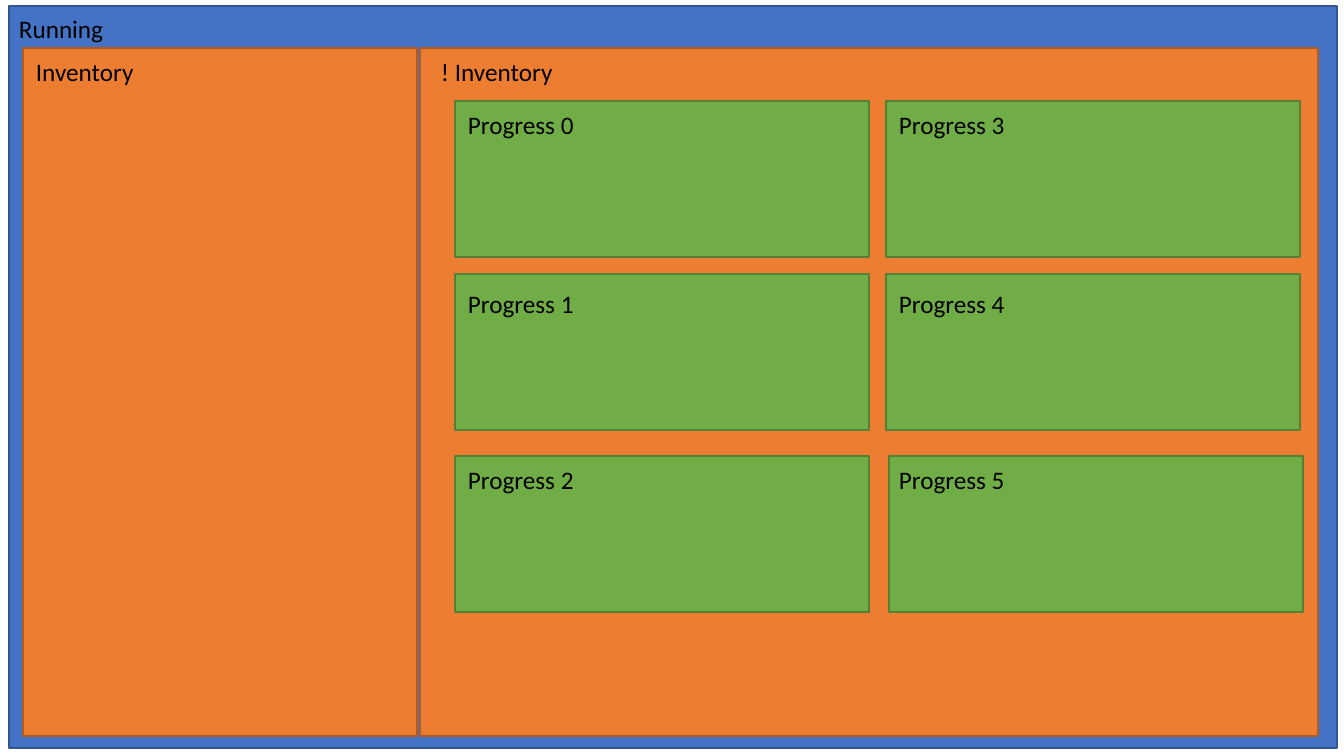
from pptx import Presentation
from pptx.dml.color import RGBColor
from pptx.enum.shapes import MSO_SHAPE
from pptx.enum.text import MSO_AUTO_SIZE
from pptx.util import Emu, Pt

COLORS = {
    "blue": ("4472C4", "325491"),
    "orange": ("ED7D31", "AF5C24"),
    "green": ("70AD47", "538035"),
    "text": "000000",
}
FONT = {"name": "Calibri", "size": Pt(18)}
FRAME = {"word_wrap": True, "auto_size": MSO_AUTO_SIZE.SHAPE_TO_FIT_TEXT}

# name, color, box (left, top, width, height), label (left, top, width)
PANELS = [
    ("Running", "blue", (9, 6, 1328, 742), (9, 8, 120)),
    ("Inventory", "orange", (23, 48, 394, 688), (26, 51, 120)),
    ("! Inventory", "orange", (420, 48, 898, 688), (431, 51, 136)),
]
STEPS = [f"Progress {n}" for n in range(6)]
COLS = (455, 886)
ROWS = ((101, 104), (274, 283), (456, 459))  # box top, label top
STEP_W, STEP_H = 414, 156
INSET = 3
NUDGE = {"Progress 5": 3}
LABEL_W, LABEL_H = 136, 40
SCALE = 914400 / 100.8


def emu(*vals):
    """Turn pixels into EMU."""
    return [Emu(round(val * SCALE)) for val in vals]


def apply(obj, values):
    """Set attributes from a dict."""
    for key, val in values.items():
        setattr(obj, key, val)


def add_box(slide, color, box):
    """Draw a filled, outlined rectangle."""
    shape = slide.shapes.add_shape(MSO_SHAPE.RECTANGLE, *emu(*box))
    fill, edge = COLORS[color]
    shape.shadow.inherit = False
    shape.fill.solid()
    shape.fill.fore_color.rgb = RGBColor.from_string(fill)
    shape.line.color.rgb = RGBColor.from_string(edge)
    shape.line.width = Pt(1)


def add_label(slide, text, left, top, width):
    """Write a one-line label."""
    frame = slide.shapes.add_textbox(*emu(left, top, width, LABEL_H)).text_frame
    apply(frame, FRAME)
    run = frame.paragraphs[0].add_run()
    run.text = text
    apply(run.font, FONT)
    run.font.color.rgb = RGBColor.from_string(COLORS["text"])


def build():
    """Build the slide and save it."""
    prs = Presentation()
    prs.slide_width, prs.slide_height = emu(1344, 756)
    slide = prs.slides.add_slide(prs.slide_layouts[6])
    for name, color, box, label in PANELS:
        add_box(slide, color, box)
        add_label(slide, name, *label)
    for num, name in enumerate(STEPS):
        col, row = divmod(num, len(ROWS))
        left, (top, text_top) = COLS[col], ROWS[row]
        box = (left + NUDGE.get(name, 0), top, STEP_W, STEP_H)
        add_box(slide, "green", box)
        add_label(slide, name, left + INSET, text_top, LABEL_W)
    prs.save("out.pptx")


build()
